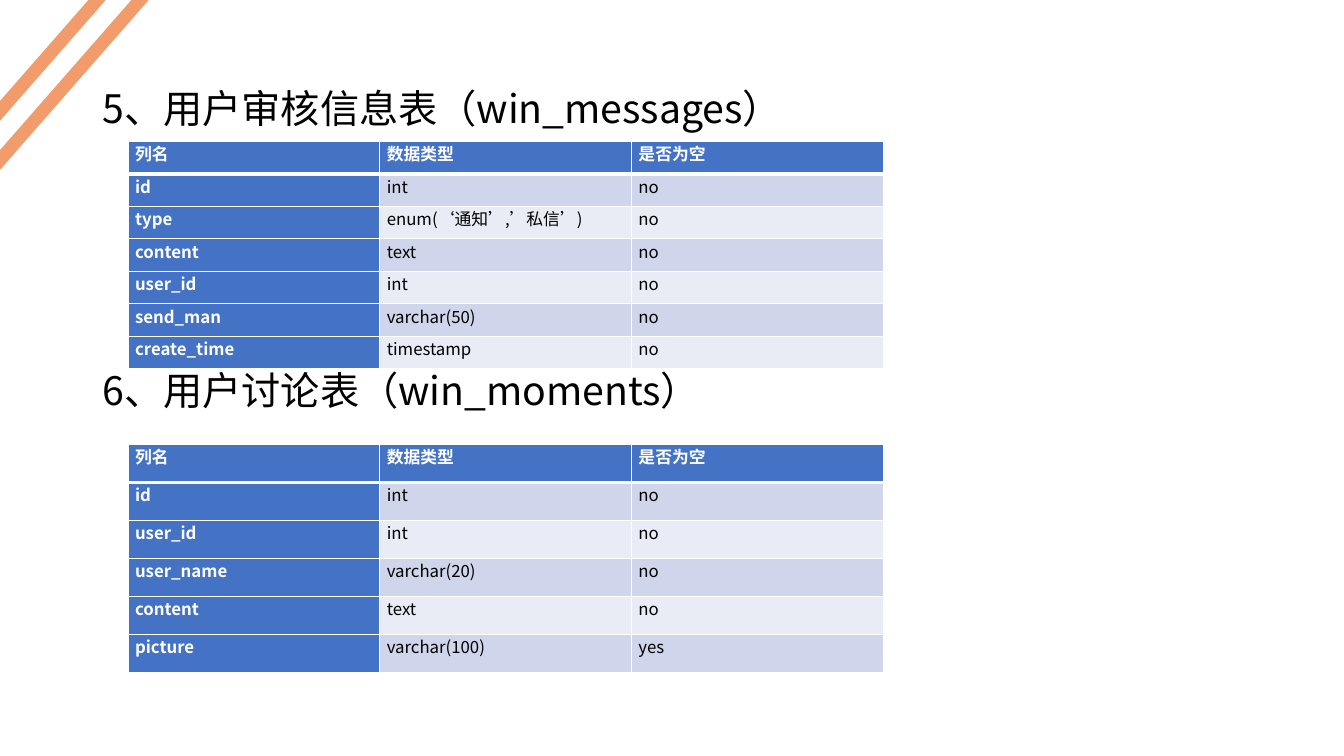
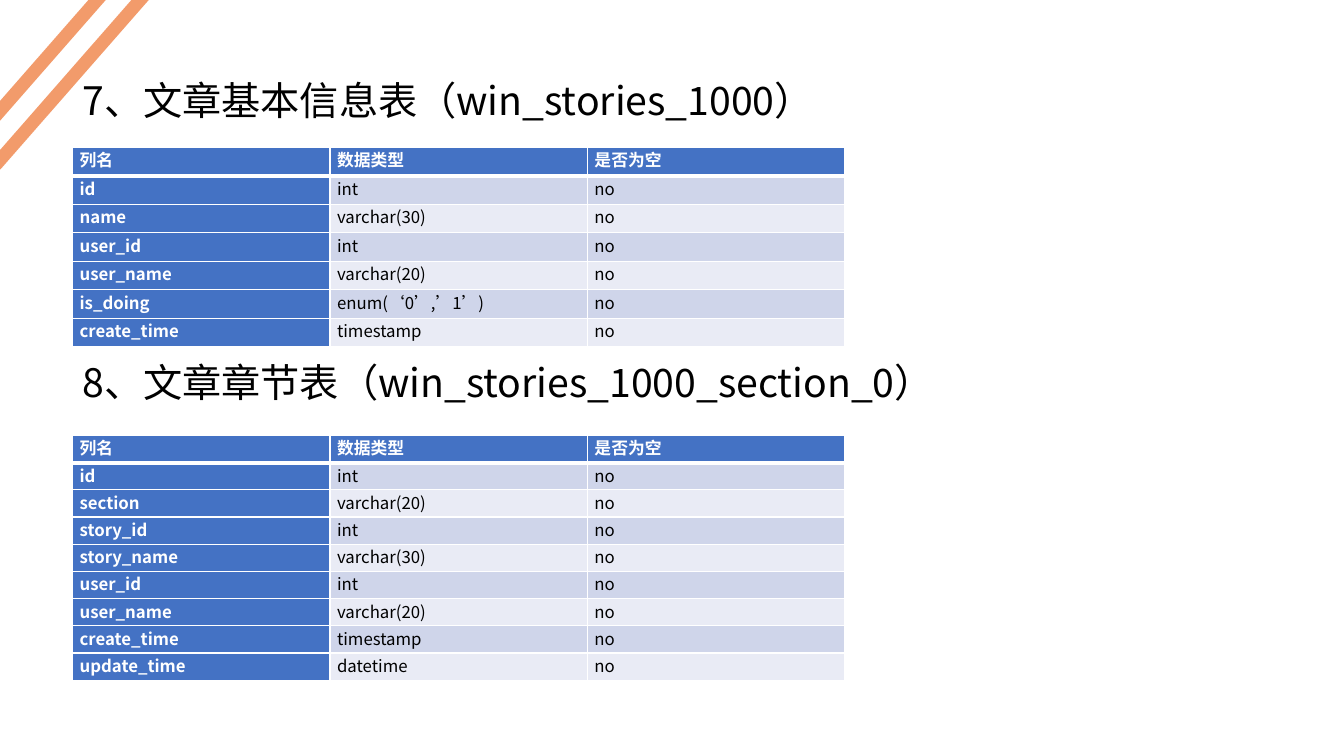
from dataclasses import dataclass

from lxml.etree import SubElement
from pptx import Presentation
from pptx.dml.color import RGBColor as RGB
from pptx.enum.shapes import MSO_SHAPE as SHAPE
from pptx.enum.text import PP_ALIGN as ALIGN
from pptx.oxml.ns import qn
from pptx.util import Inches, Pt


@dataclass(frozen=True)
class Theme:
    font: str = "Noto Sans CJK SC"
    heading_size: int = 28
    cell_size: int = 12
    ink: str = "000000"
    white: str = "FFFFFF"
    header: str = "4472C4"
    bands: tuple = ("CFD5EA", "E9EBF5")
    stripe: str = "ED6A23"
    stripe_alpha: int = 67
    grid_line: int = 1
    header_line: int = 3


HEADER = ("列名", "数据类型", "是否为空")
STRIPES = ((-0.7, 0.51), (-0.44, 0.7))
HEADING_STEP = 2.8


class Deck:
    def __init__(self, theme):
        self.theme = theme
        self.prs = Presentation()
        self.prs.slide_width = Inches(13.33)
        self.prs.slide_height = Inches(7.5)
        self.slide = None

    def add_slide(self):
        self.slide = self.prs.slides.add_slide(self.prs.slide_layouts[6])

    def stripes(self):
        for left, top in STRIPES:
            sp = self.slide.shapes.add_shape(
                SHAPE.RECTANGLE, Inches(left), Inches(top), Inches(2.32), Inches(0.13))
            sp.rotation = 311.2
            sp.shadow.inherit = False
            sp.line.fill.background()
            sp.fill.solid()
            sp.fill.fore_color.rgb = RGB.from_string(self.theme.stripe)
            color = sp.fill._xPr.find(qn("a:solidFill"))[0]
            SubElement(color, qn("a:alpha"), val=str(self.theme.stripe_alpha * 1000))

    def run(self, p, text, size, color, bold=False):
        r = p.add_run()
        r.text = text
        r.font.size = Pt(size)
        r.font.bold = bold
        r.font.color.rgb = RGB.from_string(color)
        r.font.name = self.theme.font
        SubElement(r.font._element, qn("a:ea"), typeface=self.theme.font)

    def heading(self, text, left, top):
        box = self.slide.shapes.add_textbox(
            Inches(left), Inches(top), Inches(11.5), Inches(0.6))
        tf = box.text_frame
        tf.word_wrap = True
        p = tf.paragraphs[0]
        p.line_spacing = 0.9
        self.run(p, text, self.theme.heading_size, self.theme.ink)

    def borders(self, cell, **widths):
        """Draw the four sides in white; widths overrides single sides (L, R, T, B)."""
        tc_pr = cell._tc.get_or_add_tcPr()
        for side in "LRTB":
            width = Pt(widths.get(side, self.theme.grid_line))
            ln = SubElement(tc_pr, qn(f"a:ln{side}"), w=str(width))
            fill = SubElement(ln, qn("a:solidFill"))
            SubElement(fill, qn("a:srgbClr"), val=self.theme.white)

    def cell(self, cell, text, row, col):
        th = self.theme
        strong = row == 0 or col == 0
        thick = {0: {"B": th.header_line}, 1: {"T": th.header_line}}
        self.borders(cell, **thick.get(row, {}))
        cell.fill.solid()
        cell.fill.fore_color.rgb = RGB.from_string(
            th.header if strong else th.bands[(row - 1) % 2])
        cell.margin_left = cell.margin_right = Inches(0.07)
        cell.margin_top = cell.margin_bottom = 0
        p = cell.text_frame.paragraphs[0]
        p.alignment = ALIGN.JUSTIFY
        self.run(p, text, th.cell_size, th.white if strong else th.ink, strong)

    def table(self, fields, left, top, width, height):
        rows = [HEADER, *fields]
        table = self.slide.shapes.add_table(
            len(rows), len(HEADER), Inches(left), Inches(top),
            Inches(width), Inches(height)).table
        for column in table.columns:
            column.width = Inches(width / len(HEADER))
        for i, values in enumerate(rows):
            table.rows[i].height = Inches(height / len(rows))
            for j, text in enumerate(values):
                self.cell(table.cell(i, j), text, i, j)


def required(*fields):
    """Mark each (name, type) pair as not nullable."""
    return [(*field, "no") for field in fields]


MESSAGES = required(
    ("id", "int"), ("type", "enum(‘通知’,’私信’)"), ("content", "text"),
    ("user_id", "int"), ("send_man", "varchar(50)"), ("create_time", "timestamp"))
MOMENTS = required(
    ("id", "int"), ("user_id", "int"), ("user_name", "varchar(20)"),
    ("content", "text")) + [("picture", "varchar(100)", "yes")]
STORIES = required(
    ("id", "int"), ("name", "varchar(30)"), ("user_id", "int"),
    ("user_name", "varchar(20)"), ("is_doing", "enum(‘0’,’1’)"),
    ("create_time", "timestamp"))
SECTIONS = required(
    ("id", "int"), ("section", "varchar(20)"), ("story_id", "int"),
    ("story_name", "varchar(30)"), ("user_id", "int"), ("user_name", "varchar(20)"),
    ("create_time", "timestamp"), ("update_time", "datetime"))

# Each slide: heading place, table left and width, then (heading, fields, top, height)
SLIDES = (
    ((0.92, 0.84), 1.27, 7.49, (
        ("5、用户审核信息表（win_messages）", MESSAGES, 1.4, 2.26),
        ("6、用户讨论表（win_moments）", MOMENTS, 4.41, 2.26))),
    ((0.72, 0.76), 0.72, 7.66, (
        ("7、文章基本信息表（win_stories_1000）", STORIES, 1.46, 1.98),
        ("8、文章章节表（win_stories_1000_section_0）", SECTIONS, 4.32, 2.43))),
)


def main():
    deck = Deck(Theme())
    for (heading_left, heading_top), left, width, sections in SLIDES:
        deck.add_slide()
        deck.stripes()
        for i, (title, fields, top, height) in enumerate(sections):
            deck.heading(title, heading_left, heading_top + i * HEADING_STEP)
            deck.table(fields, left, top, width, height)
    deck.prs.save("out.pptx")


if __name__ == "__main__":
    main()
